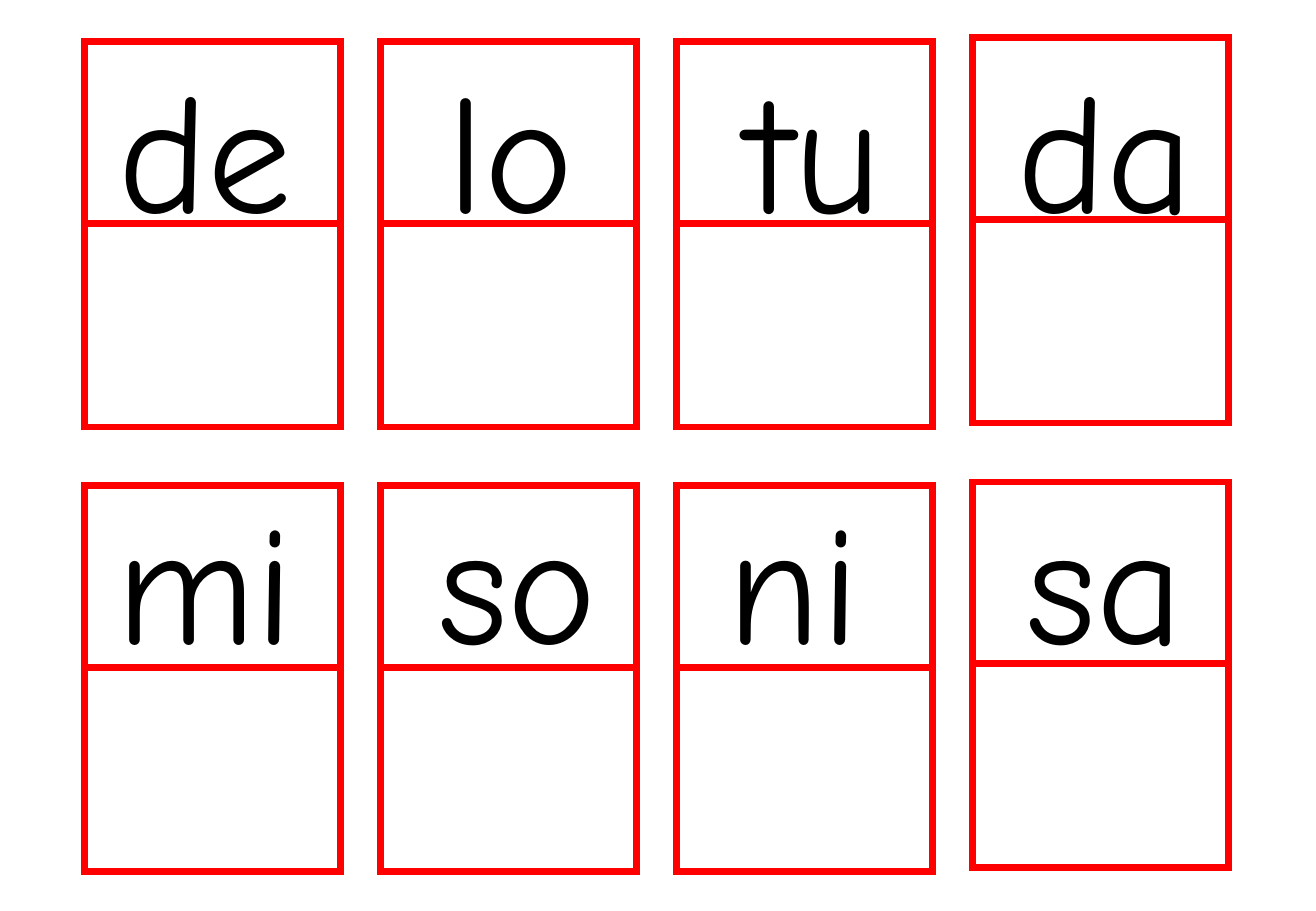
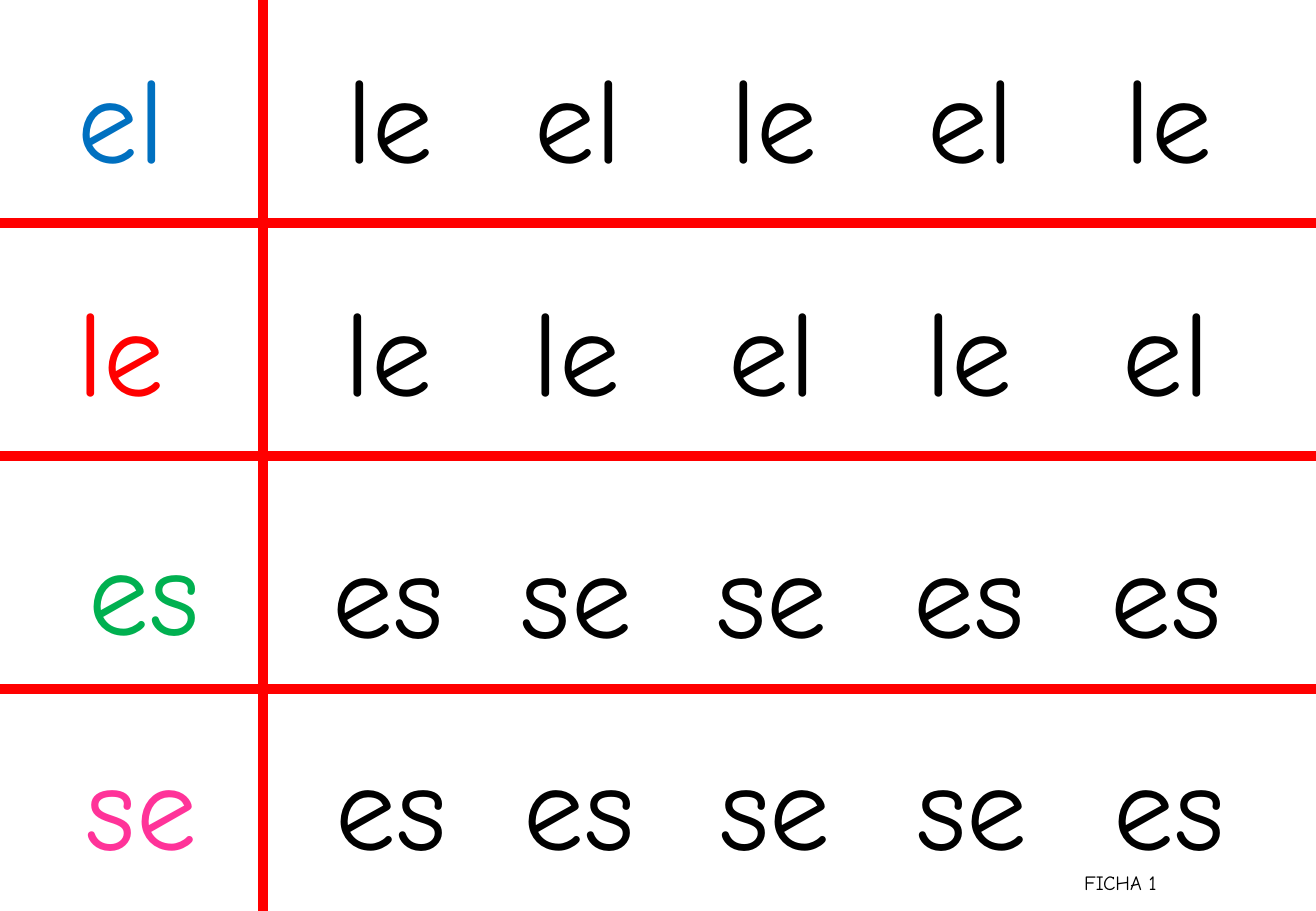
from dataclasses import dataclass

from lxml import etree
from pptx import Presentation
from pptx.dml.color import RGBColor
from pptx.enum import shapes, text
from pptx.oxml import ns
from pptx.util import Cm, Pt


@dataclass(frozen=True)
class Theme:
    font: str = "Comic Neue"
    black: str = "000000"
    red: str = "FF0000"
    blue: str = "0070C0"
    green: str = "00B050"
    pink: str = "FF3399"
    card_size: int = 100
    drill_size: int = 72
    label_size: int = 12
    card_line: int = 4
    rule_line: int = 6


THEME = Theme()
WIDTH, HEIGHT = 27.53, 19.05


class Sheet:
    """Holds the style and the current slide; lengths are in centimetres."""

    def __init__(self, prs, theme):
        self.prs, self.theme = prs, theme
        self.slide = None

    def new_slide(self):
        self.slide = self.prs.slides.add_slide(self.prs.slide_layouts[6])

    def textbox(self, parent, content, x, y, w, h, size, color, wrap=False):
        tf = parent.add_textbox(Cm(x), Cm(y), Cm(w), Cm(h)).text_frame
        tf.word_wrap = wrap
        tf.auto_size = text.MSO_AUTO_SIZE.SHAPE_TO_FIT_TEXT
        tf.text = content
        p = tf.paragraphs[0]
        p.alignment = text.PP_ALIGN.LEFT if wrap else text.PP_ALIGN.CENTER
        font = p.runs[0].font
        font.name, font.size = self.theme.font, Pt(size)
        font.color.rgb = RGBColor.from_string(color)

    def frame(self, parent, x, y, w, h):
        sp = parent.add_shape(shapes.MSO_SHAPE.RECTANGLE,
                              Cm(x), Cm(y), Cm(w), Cm(h))
        sp.shadow.inherit = False
        sp.fill.background()
        sp.line.color.rgb = RGBColor.from_string(self.theme.red)
        sp.line.width = Pt(self.theme.card_line)
        # Square corners
        outline = sp._element.spPr.find(ns.qn("a:ln"))
        etree.SubElement(outline, ns.qn("a:miter"), lim="800000")

    def card(self, syllable, center, x, y, text_y):
        """A syllable in the upper frame, an empty frame below it."""
        w, upper, lower, text_w = 5.36, 3.8, 4.26, 5
        group = self.slide.shapes.add_group_shape().shapes
        self.frame(group, x, y, w, upper)
        self.textbox(group, syllable, center - text_w / 2, text_y, text_w, 4.5,
                     self.theme.card_size, self.theme.black)
        self.frame(group, x, y + upper, w, lower)

    def drill_word(self, syllable, center, y, color):
        w = 3.4
        self.textbox(self.slide.shapes, syllable, center - w / 2, y, w, 3.3,
                     self.theme.drill_size, color)

    def rule(self, x1, y1, x2, y2):
        line = self.slide.shapes.add_connector(
            shapes.MSO_CONNECTOR.STRAIGHT, Cm(x1), Cm(y1), Cm(x2), Cm(y2))
        line.line.color.rgb = RGBColor.from_string(self.theme.red)
        line.line.width = Pt(self.theme.rule_line)
        etree.SubElement(line._element.spPr, ns.qn("a:effectLst"))

    def label(self, content, x, y, w, h):
        self.textbox(self.slide.shapes, content, x, y, w, h,
                     self.theme.label_size, self.theme.black, wrap=True)


def build_cards(s):
    s.new_slide()
    # Top of the frames, top of the text, then syllables with their centres
    rows = [
        (0.87, 0.82, [("de", 4.3), ("lo", 10.68), ("tu", 17.02), ("da", 23.13)]),
        (10.16, 9.83, [("mi", 4.29), ("so", 10.83), ("ni", 16.6), ("sa", 23.11)]),
    ]
    last_column_lift = 0.08
    for y, text_y, syllables in rows:
        for col, (syllable, center) in enumerate(syllables):
            lift = last_column_lift if col == 3 else 0
            s.card(syllable, center, 1.77 + 6.19 * col, y - lift, text_y)


def build_drill(s):
    s.new_slide()
    # Grid: one column for the models, four rows
    s.rule(WIDTH / 5, 0, WIDTH / 5, HEIGHT)
    for i in range(3):
        s.rule(0, 4.66 + 4.87 * i, WIDTH, 4.66 + 4.87 * i)

    # Model syllable, its colour, centre and top; top and shift of the choices
    rows = [
        ("el", s.theme.blue, 2.54, 0.76, 0.76, 0, "le el le el le"),
        ("le", s.theme.red, 2.53, 5.63, 5.63, -0.04, "le le el le el"),
        ("es", s.theme.green, 3.01, 10.63, 10.68, -0.04, "es se se es es"),
        ("se", s.theme.pink, 2.96, 15.12, 15.12, 0.02, "es es se se es"),
    ]
    centers = (8.16, 12.1, 16.19, 20.31, 24.44)
    for model, color, model_center, model_y, y, shift, choices in rows:
        s.drill_word(model, model_center, model_y, color)
        for choice, center in zip(choices.split(), centers):
            s.drill_word(choice, center + shift, y, s.theme.black)

    # Sheet number
    s.label("FICHA 1", 22.43, 18.08, 2.97, 0.76)


def main():
    prs = Presentation()
    prs.slide_width, prs.slide_height = Cm(WIDTH), Cm(HEIGHT)
    s = Sheet(prs, THEME)
    build_cards(s)
    build_drill(s)
    prs.save("out.pptx")


if __name__ == "__main__":
    main()
